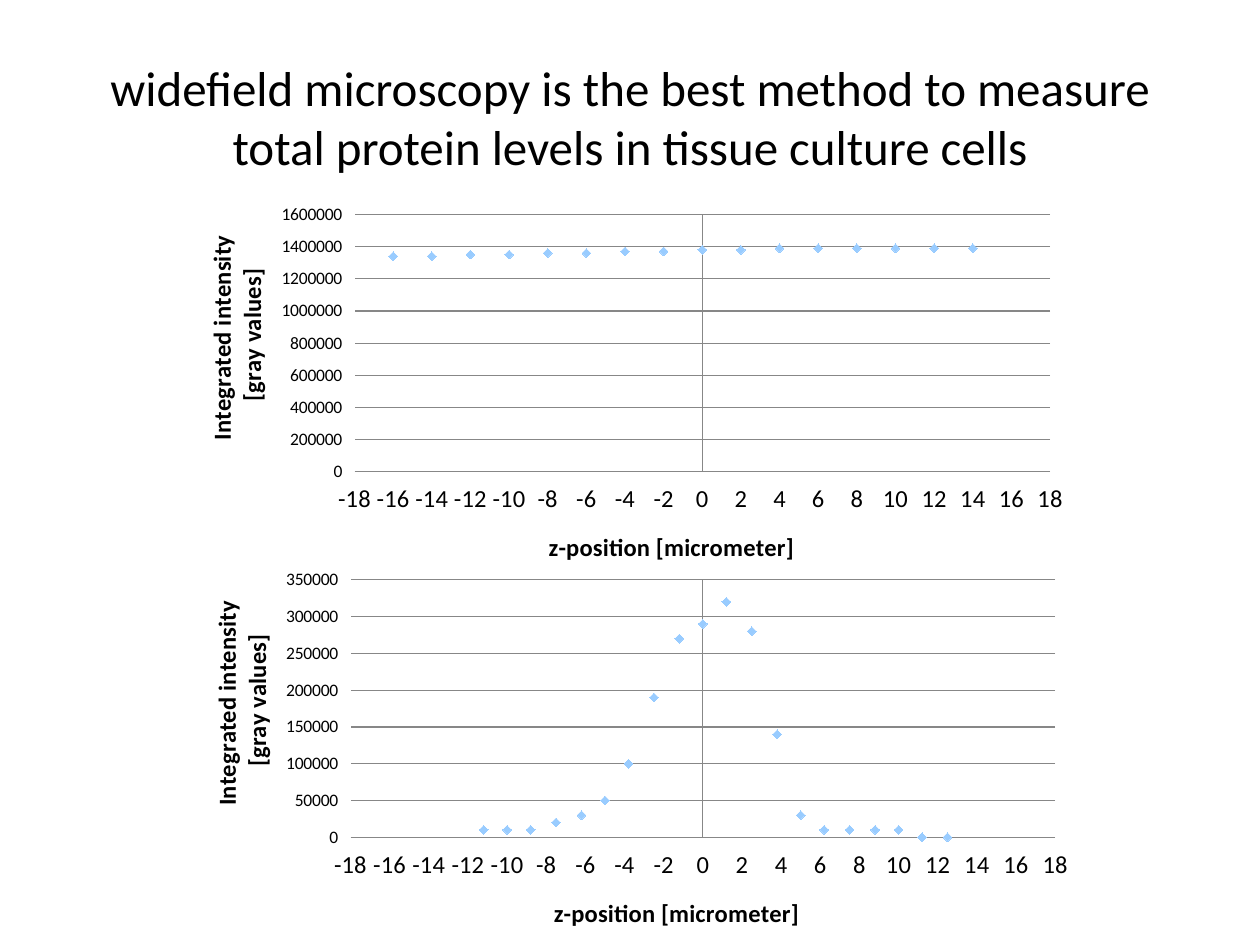
from pptx import Presentation
from pptx.chart.data import XyChartData
from pptx.dml.color import RGBColor
from pptx.enum.chart import XL_CHART_TYPE, XL_MARKER_STYLE, XL_TICK_LABEL_POSITION, XL_TICK_MARK
from pptx.enum.text import MSO_ANCHOR, PP_ALIGN
from pptx.oxml import parse_xml
from pptx.oxml.ns import nsdecls
from pptx.util import Inches, Pt

SCATTER = XL_CHART_TYPE.XY_SCATTER
DIAMOND = XL_MARKER_STYLE.DIAMOND
NO_TICK = XL_TICK_MARK.NONE
LOW = XL_TICK_LABEL_POSITION.LOW
MIDDLE = MSO_ANCHOR.MIDDLE
CENTER = PP_ALIGN.CENTER

BLACK = RGBColor(0x00, 0x00, 0x00)
GRAY = RGBColor(0x87, 0x87, 0x87)
LIGHT_BLUE = RGBColor(0x99, 0xCC, 0xFF)

TITLE_ONLY = 5
X_TITLE = "z-position [micrometer]"
Y_TITLE = "Integrated intensity \n[gray values]"

WIDEFIELD_Z = range(-16, 15, 2)
WIDEFIELD = [v * 10000 for v in (134, 134, 135, 135, 136, 136, 137, 137,
                                 138, 138, 139, 139, 139, 139, 139, 139)]
CONFOCAL_Z = [-11.2, -10, -8.8, -7.5, -6.2, -5, -3.8, -2.5, -1.2, 0,
              1.2, 2.5, 3.8, 5, 6.2, 7.5, 8.8, 10, 11.2, 12.5]
CONFOCAL = [v * 10000 for v in (1, 1, 1, 2, 3, 5, 10, 19, 27, 29,
                                32, 28, 14, 3, 1, 1, 1, 1, 0, 0)]


def set_all(obj, **values):
    for name, value in values.items():
        setattr(obj, name, value)


def manual_layout(x, y, w=None, h=None):
    """Layout element in shares of the chart; a size makes it an inner plot area."""
    target = '<c:layoutTarget val="inner"/>' if w else ""
    size = f'<c:w val="{w}"/><c:h val="{h}"/>' if w else ""
    return parse_xml(
        f'<c:layout {nsdecls("c")}><c:manualLayout>{target}'
        f'<c:xMode val="edge"/><c:yMode val="edge"/>'
        f'<c:x val="{x}"/><c:y val="{y}"/>{size}</c:manualLayout></c:layout>')


class Deck:
    font = "Calibri"

    def __init__(self, width, height):
        self.prs = Presentation()
        self.prs.slide_width, self.prs.slide_height = Inches(width), Inches(height)
        self.s = self.prs.slides.add_slide(self.prs.slide_layouts[TITLE_ONLY])

    def style(self, font, size, **extra):
        set_all(font, name=self.font, size=Pt(size), **extra)
        font.color.rgb = BLACK

    def box(self, x, y, w, h):
        """Turn shares of the slide into lengths."""
        width, height = self.prs.slide_width, self.prs.slide_height
        return [round(v) for v in (x * width, y * height, w * width, h * height)]

    def title(self, text, x, y, w, h):
        sp = self.s.shapes.title
        sp.left, sp.top, sp.width, sp.height = self.box(x, y, w, h)
        tf = sp.text_frame
        set_all(tf, text=text, vertical_anchor=MIDDLE, word_wrap=True)
        p = tf.paragraphs[0]
        p.alignment = CENTER
        self.style(p.runs[0].font, 28)

    def axis(self, axis, text, size, title_at, **values):
        set_all(axis, major_tick_mark=NO_TICK, minor_tick_mark=NO_TICK,
                tick_label_position=LOW, **values)
        axis.format.line.color.rgb = GRAY
        self.style(axis.tick_labels.font, size)
        tf = axis.axis_title.text_frame
        tf.text = text
        for p in tf.paragraphs:
            self.style(p.runs[0].font, 14, bold=True)
        title = axis.axis_title._element
        for old in title.findall(manual_layout(0, 0).tag):
            title.remove(old)
        title.tx.addnext(manual_layout(*title_at))

    def scatter(self, xs, ys, x, y, w, h, plot):
        data = XyChartData()
        series = data.add_series("Series 1")
        for point in zip(xs, ys):
            series.add_data_point(*point)
        chart = self.s.shapes.add_chart(SCATTER, *self.box(x, y, w, h), data).chart
        set_all(chart, has_legend=False, has_title=False)
        self.style(chart.font, 10)
        self.axis(chart.category_axis, X_TITLE, 14, (0.41, 0.86), minimum_scale=-18,
                  maximum_scale=18, major_unit=2, has_major_gridlines=False)
        self.axis(chart.value_axis, Y_TITLE, 10, (0.03, 0.08), minimum_scale=0,
                  has_major_gridlines=True)
        chart.value_axis.major_gridlines.format.line.color.rgb = GRAY

        plot_area = chart._chartSpace.chart.plotArea
        for old in plot_area.findall(manual_layout(0, 0).tag):
            plot_area.remove(old)
        plot_area.insert(0, manual_layout(*plot))

        chart.plots[0].vary_by_categories = False
        dots = chart.plots[0].series[0]
        dots.format.line.fill.background()
        set_all(dots.marker, style=DIAMOND, size=5)
        dots.marker.format.fill.solid()
        dots.marker.format.fill.fore_color.rgb = LIGHT_BLUE
        dots.marker.format.line.fill.background()


def main():
    deck = Deck(10, 7.5)
    deck.title("widefield microscopy is the best method to measure "
               "total protein levels in tissue culture cells", 0.05, 0.04, 0.9, 1 / 6)
    size = 0.717, 3.05 / 7.5
    deck.scatter(WIDEFIELD_Z, WIDEFIELD, 0.138, 1.55 / 7.5, *size, (0.2, 0.05, 0.77, 0.67))
    deck.scatter(CONFOCAL_Z, CONFOCAL, 0.142, 4.45 / 7.5, *size, (0.19, 0.05, 0.78, 0.67))
    deck.prs.save("out.pptx")


if __name__ == "__main__":
    main()
